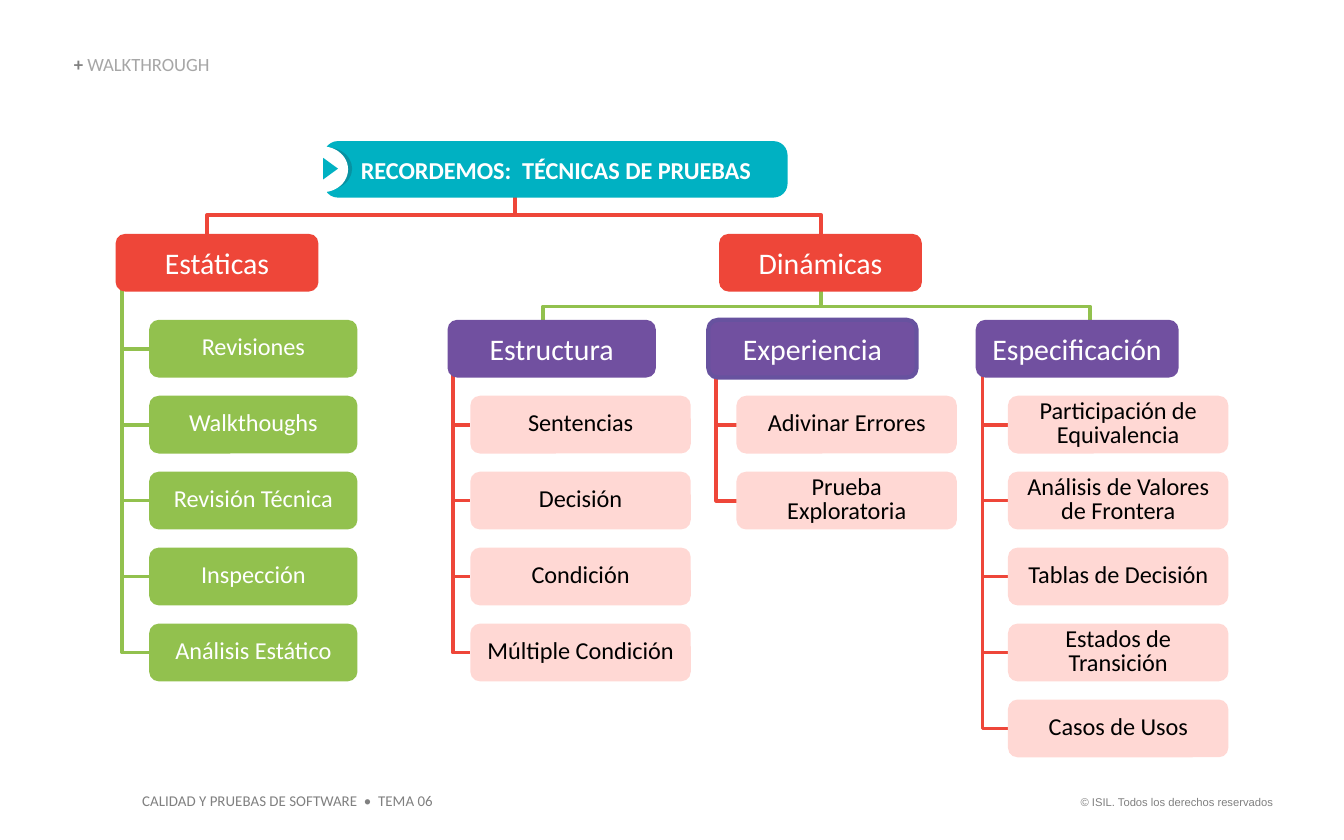
from dataclasses import dataclass

from lxml import etree
from pptx import Presentation
from pptx.dml.color import RGBColor
from pptx.enum.shapes import MSO_CONNECTOR as Link, MSO_SHAPE as Shape
from pptx.enum.text import MSO_ANCHOR as Anchor, MSO_AUTO_SIZE as AutoSize, PP_ALIGN as Align
from pptx.oxml.ns import qn
from pptx.util import Inches, Pt


@dataclass(frozen=True)
class Theme:
    font: str = "Calibri"
    legal_font: str = "Arial"
    white: str = "FFFFFF"
    black: str = "000000"
    grey: str = "808080"
    light_grey: str = "A6A6A6"
    teal: str = "00B1C2"
    dark_teal: str = "0792A2"
    red: str = "EE4639"
    green: str = "92C14E"
    purple: str = "7150A0"
    purple_edge: str = "67529F"
    pink: str = "FFD8D4"
    head_size: float = 16
    item_size: float = 13
    title_size: float = 10
    footer_size: float = 8
    legal_size: float = 6
    line_width: float = 2
    edge_width: float = 2.25


THEME = Theme()
BOX_HEIGHT = 0.43
ROW_TOP = 2.38
ROW_PITCH = 0.565
CORNER = 0.167


@dataclass(frozen=True)
class Branch:
    items: tuple
    left: float
    width: float
    spine: float
    spine_top: float
    first_row: int = 1
    fill: str = THEME.pink
    ink: str = THEME.black
    line: str = THEME.red


BRANCHES = (
    Branch(("Revisiones", "Walkthoughs", "Revisión Técnica", "Inspección", "Análisis Estático"),
           1.11, 1.55, 0.91, 2.16, 0, THEME.green, THEME.white, THEME.green),
    Branch(("Sentencias", "Decisión", "Condición", "Múltiple Condición"), 3.5, 1.64, 3.37, 2.79),
    Branch(("Adivinar Errores", "Prueba Exploratoria"), 5.48, 1.64, 5.33, 2.79),
    Branch(("Participación de Equivalencia", "Análisis de Valores de Frontera",
            "Tablas de Decisión", "Estados de Transición", "Casos de Usos"),
           7.5, 1.64, 7.31, 2.75),
)

HEADS = (
    ("Estáticas", 0.86, 1.74, 1.51, THEME.red, None),
    ("Dinámicas", 5.35, 1.74, 1.51, THEME.red, None),
    ("Estructura", 3.33, ROW_TOP, 1.55, THEME.purple, None),
    ("Experiencia", 5.27, ROW_TOP, 1.55, THEME.purple, THEME.purple_edge),
    ("Especificación", 7.26, ROW_TOP, 1.51, THEME.purple, None),
)


def color(value):
    return RGBColor.from_string(value)


def set_font(font, size, ink, bold=False, name=THEME.font):
    font.name, font.size, font.bold = name, Pt(size), bold
    font.color.rgb = color(ink)


def style_line(line, ink, width=THEME.line_width):
    line.color.rgb = color(ink)
    line.width = Pt(width)


def add_shape(page, kind, left, top, width, height, fill, edge=None):
    shape = page.shapes.add_shape(kind, Inches(left), Inches(top), Inches(width), Inches(height))
    shape.shadow.inherit = False
    shape.fill.solid()
    shape.fill.fore_color.rgb = color(fill)
    if edge:
        style_line(shape.line, edge, THEME.edge_width)
    else:
        shape.line.fill.background()
    return shape


def add_box(page, text, left, top, width, fill, size, ink=THEME.white, edge=None,
            height=BOX_HEIGHT, corner=CORNER, spacing=1.0, bold=False):
    box = add_shape(page, Shape.ROUNDED_RECTANGLE, left, top, width, height, fill, edge)
    box.adjustments[0] = corner
    frame = box.text_frame
    frame.word_wrap = True
    frame.vertical_anchor = Anchor.MIDDLE
    para = frame.paragraphs[0]
    para.text = text
    para.alignment = Align.CENTER
    para.line_spacing = spacing
    set_font(para.font, size, ink, bold)


def add_line(page, start, end, ink):
    line = page.shapes.add_connector(Link.STRAIGHT, *map(Inches, start + end))
    style_line(line.line, ink)
    etree.SubElement(line._element.spPr, qn("a:effectLst"))


def add_elbow(page, points, ink):
    start, *rest = [(Inches(x), Inches(y)) for x, y in points]
    builder = page.shapes.build_freeform(*start)
    builder.add_line_segments(rest, close=False)
    elbow = builder.convert_to_shape()
    elbow.shadow.inherit = False
    elbow.fill.background()
    style_line(elbow.line, ink)


def add_fork(page, left, right, top, bottom, stem, stem_top, ink):
    add_elbow(page, [(left, bottom), (left, top), (right, top), (right, bottom)], ink)
    add_line(page, (stem, stem_top), (stem, top), ink)


def add_branch(page, branch):
    tops = [ROW_TOP + ROW_PITCH * (branch.first_row + row) for row in range(len(branch.items))]
    centers = [top + BOX_HEIGHT / 2 for top in tops]
    add_elbow(page, [(branch.spine, branch.spine_top), (branch.spine, centers[-1]),
                     (branch.left, centers[-1])], branch.line)
    for center in centers[:-1]:
        add_line(page, (branch.spine, center), (branch.left, center), branch.line)
    for text, top in zip(branch.items, tops):
        add_box(page, text, branch.left, top, branch.width, branch.fill,
                THEME.item_size, branch.ink, spacing=0.8)


def add_banner(page):
    add_box(page, "RECORDEMOS:  TÉCNICAS DE PRUEBAS", 2.41, 1.05, 3.45, THEME.teal,
            THEME.item_size, height=0.42, corner=0.248, bold=True)
    add_shape(page, Shape.OVAL, 2.27, 1.1, 0.35, 0.31, THEME.dark_teal)
    add_shape(page, Shape.OVAL, 2.21, 1.09, 0.38, 0.34, THEME.white)
    arrow = add_shape(page, Shape.ISOSCELES_TRIANGLE, 2.38, 1.2, 0.16, 0.11, THEME.teal)
    arrow.rotation = 90


def add_title(page):
    title = page.shapes.title
    title.left, title.top, title.width, title.height = map(Inches, (0.55, 0.41, 3.61, 0.15))
    frame = title.text_frame
    frame.auto_size = AutoSize.NONE
    frame.vertical_anchor = Anchor.BOTTOM
    frame.margin_left = frame.margin_right = frame.margin_top = frame.margin_bottom = 0
    para = frame.paragraphs[0]
    para.alignment = Align.LEFT
    para.line_spacing = 0.9
    for text, ink, bold in (("+ ", THEME.grey, True), ("WALKTHROUGH", THEME.light_grey, False)):
        span = para.add_run()
        span.text = text
        set_font(span.font, THEME.title_size, ink, bold)


def add_footer(page, text, left, top, width, height, size, align, name):
    box = page.shapes.add_textbox(Inches(left), Inches(top), Inches(width), Inches(height))
    box.text_frame.word_wrap = False
    para = box.text_frame.paragraphs[0]
    para.text = text
    para.alignment = align
    set_font(para.font, size, THEME.grey, name=name)


def main():
    deck = Presentation()
    deck.slide_width, deck.slide_height = Inches(10), Inches(6.25)
    page = deck.slides.add_slide(deck.slide_layouts[5])
    add_title(page)
    add_fork(page, 1.54, 6.11, 1.6, 1.76, 3.83, 1.42, THEME.red)
    add_fork(page, 4.04, 8.11, 2.28, 2.4, 6.11, 2.1, THEME.green)
    for branch in BRANCHES:
        add_branch(page, branch)
    for text, left, top, width, fill, edge in HEADS:
        add_box(page, text, left, top, width, fill, THEME.head_size, edge=edge)
    add_banner(page)
    add_footer(page, "CALIDAD Y PRUEBAS DE SOFTWARE  •  TEMA 06", 0.96, 5.84, 2.37, 0.24,
               THEME.footer_size, Align.LEFT, THEME.font)
    add_footer(page, "© ISIL. Todos los derechos reservados", 7.88, 5.87, 1.69, 0.2,
               THEME.legal_size, Align.RIGHT, THEME.legal_font)
    deck.save("out.pptx")


if __name__ == "__main__":
    main()
